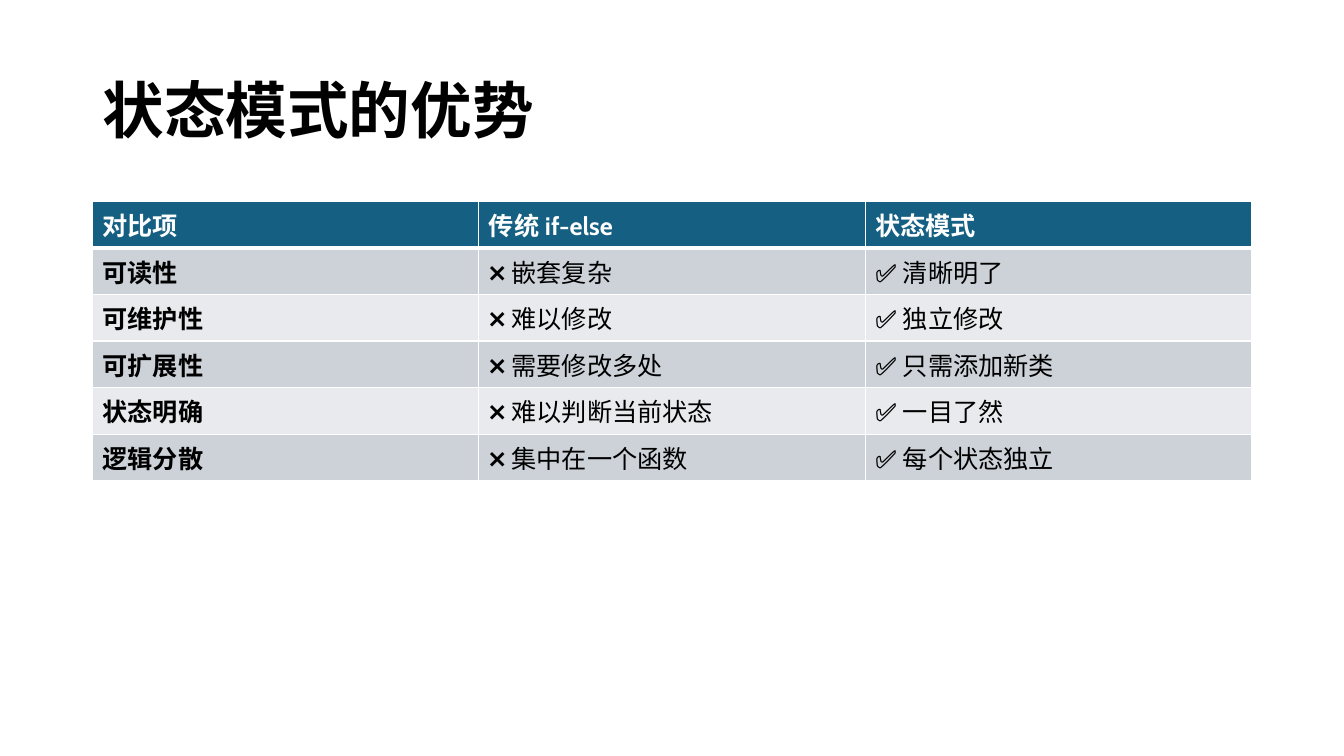
from lxml import etree
from pptx import Presentation
from pptx.dml.color import RGBColor
from pptx.enum.text import MSO_ANCHOR, MSO_AUTO_SIZE, PP_ALIGN
from pptx.oxml.ns import qn
from pptx.util import Cm, Pt

MIDDLE = MSO_ANCHOR.MIDDLE
LEFT = PP_ALIGN.LEFT
NO_FIT = MSO_AUTO_SIZE.NONE
TITLE_ONLY = 5
BLACK, WHITE = "000000", "FFFFFF"
HEADER_FILL = "156082"
BAND_FILLS = ("CCD2D8", "E8EAED")

COMPARISON = [
    ("对比项", "传统 if-else", "状态模式"),
    ("可读性", "❌ 嵌套复杂", "✅ 清晰明了"),
    ("可维护性", "❌ 难以修改", "✅ 独立修改"),
    ("可扩展性", "❌ 需要修改多处", "✅ 只需添加新类"),
    ("状态明确", "❌ 难以判断当前状态", "✅ 一目了然"),
    ("逻辑分散", "❌ 集中在一个函数", "✅ 每个状态独立"),
]


def color(code):
    """Turn a hex string into a colour."""
    return RGBColor.from_string(code)


def write(frame, text, *, size, ink=BLACK, bold=False, font="Cabin", spacing=None):
    """Put formatted, left-aligned text into a text frame."""
    paragraph = frame.paragraphs[0]
    paragraph.alignment = LEFT
    paragraph.line_spacing = spacing
    run = paragraph.add_run()
    run.text = text
    run.font.name = font
    run.font.size = Pt(size)
    run.font.bold = bold
    run.font.color.rgb = color(ink)


def add_border(cell, side, width, ink=WHITE):
    """Draw one side of a cell border."""
    properties = cell._tc.get_or_add_tcPr()
    line = etree.SubElement(properties, qn(f"a:ln{side}"), w=str(Pt(width)))
    fill = etree.SubElement(line, qn("a:solidFill"))
    etree.SubElement(fill, qn("a:srgbClr"), val=ink)


class ComparisonSlide:
    """Hold the slide and the style of its elements."""

    title_size = 44
    table_size = 18

    def __init__(self, deck):
        """Add an empty slide with a title placeholder."""
        self.slide = deck.slides.add_slide(deck.slide_layouts[TITLE_ONLY])

    def title(self, text, left, top, width, height):
        """Place and fill the title."""
        heading = self.slide.shapes.title
        heading.left, heading.top = Cm(left), Cm(top)
        heading.width, heading.height = Cm(width), Cm(height)
        frame = heading.text_frame
        frame.word_wrap = True
        frame.auto_size = NO_FIT
        frame.vertical_anchor = MIDDLE
        write(frame, text, size=self.title_size, bold=True, spacing=0.9)

    def table(self, rows, left, top, width, row_height):
        """Add a banded table with a header row."""
        grid = self.slide.shapes.add_table(
            len(rows), len(rows[0]), Cm(left), Cm(top),
            Cm(width), Cm(row_height * len(rows))).table
        for row_index, row in enumerate(rows):
            for column_index, text in enumerate(row):
                self.cell(grid.cell(row_index, column_index), text,
                          row_index, column_index)

    def cell(self, cell, text, row_index, column_index):
        """Fill and format one table cell."""
        header = row_index == 0
        widths = {"L": 1, "R": 1, "T": 3 if row_index == 1 else 1,
                  "B": 3 if header else 1}
        for side, width in widths.items():
            add_border(cell, side, width)
        cell.fill.solid()
        cell.fill.fore_color.rgb = color(
            HEADER_FILL if header else BAND_FILLS[(row_index - 1) % 2])
        cell.vertical_anchor = MIDDLE
        write(cell.text_frame, text, size=self.table_size,
              ink=WHITE if header else BLACK,
              bold=header or column_index == 0)


def main():
    """Build and save the presentation."""
    deck = Presentation()
    deck.slide_width, deck.slide_height = Cm(33.87), Cm(19.05)
    advantages = ComparisonSlide(deck)
    advantages.title("状态模式的优势", 2.33, 1.01, 29.21, 3.68)
    advantages.table(COMPARISON, 2.33, 5.07, 29.21, 1.03)
    deck.save("out.pptx")


if __name__ == "__main__":
    main()
